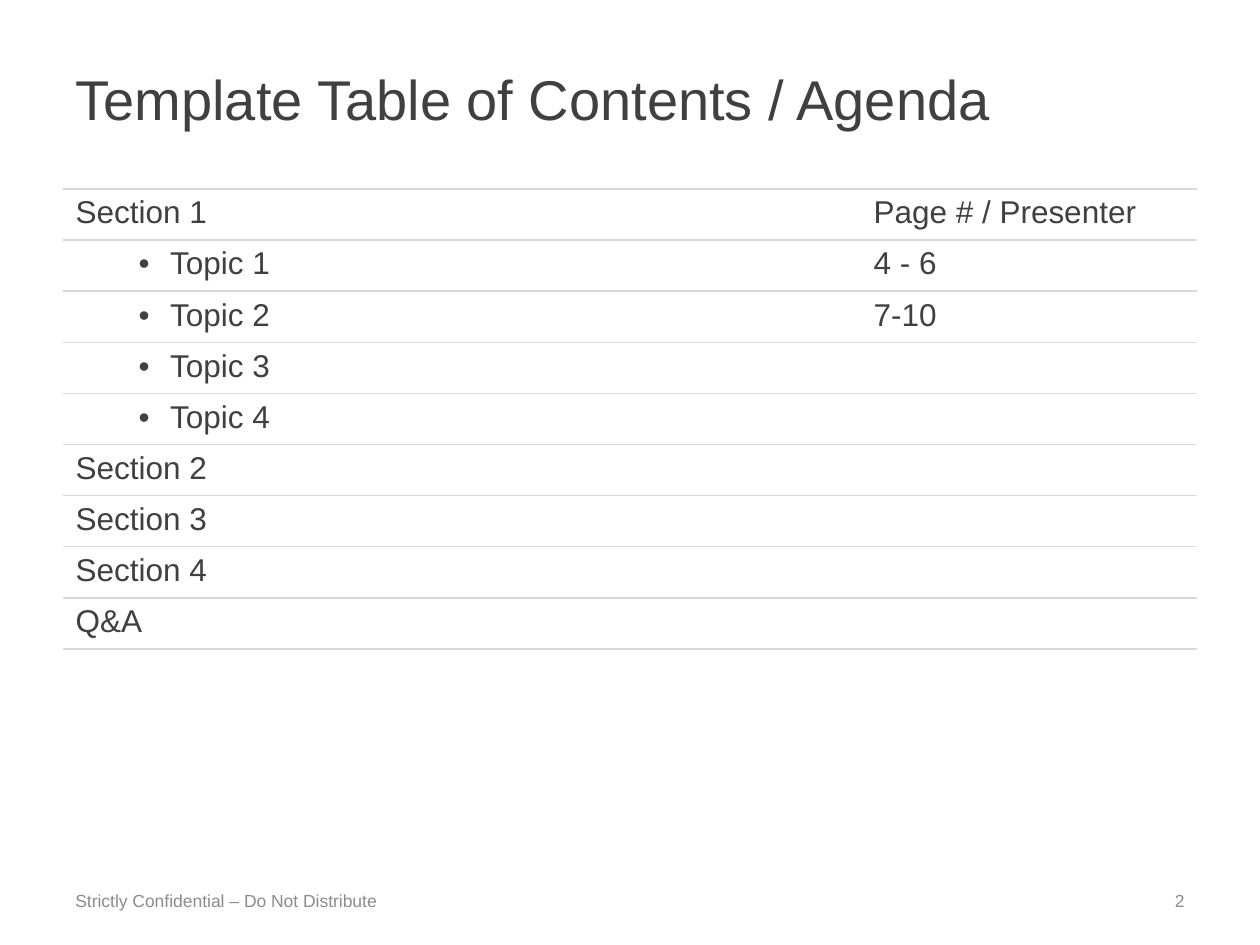
from lxml import etree
from pptx import Presentation
from pptx.dml.color import RGBColor
from pptx.enum.text import MSO_ANCHOR, MSO_AUTO_SIZE, PP_ALIGN
from pptx.oxml.ns import qn
from pptx.util import Pt

MIDDLE = MSO_ANCHOR.MIDDLE
FIXED = MSO_AUTO_SIZE.NONE
LEFT, RIGHT = PP_ALIGN.LEFT, PP_ALIGN.RIGHT
FONT = "Arial"
COLORS = {"text": "404040", "muted": "8C8C8C", "rule": "D9D9D9"}
TITLE = "Template Table of Contents / Agenda"
NOTICE = "Strictly Confidential – Do Not Distribute"
AGENDA = [
    ("Section 1", "Page # / Presenter", False),
    ("Topic 1", "4 - 6", True),
    ("Topic 2", "7-10", True),
    ("Topic 3", "", True),
    ("Topic 4", "", True),
    ("Section 2", "", False),
    ("Section 3", "", False),
    ("Section 4", "", False),
    ("Q&A", "", False),
]


def add_run(para, text, size, color):
    run = para.add_run()
    run.text = text
    run.font.name = FONT
    run.font.size = Pt(size)
    run.font.color.rgb = RGBColor.from_string(COLORS[color])


def fill_frame(frame, text, size, color, align):
    frame.word_wrap = True
    frame.auto_size = FIXED
    frame.vertical_anchor = MIDDLE
    para = frame.paragraphs[0]
    para.alignment = align
    add_run(para, text, size, color)


def add_title(slide, box):
    title = slide.shapes.title
    title.left, title.top, title.width, title.height = map(Pt, box)
    fill_frame(title.text_frame, TITLE, 32, "text", LEFT)


def add_bullet(para):
    para.level = 1
    props = para._p.get_or_add_pPr()
    props.set("marL", str(Pt(54)))
    props.set("indent", str(Pt(-18)))
    etree.SubElement(props, qn("a:buFont"), typeface=FONT)
    etree.SubElement(props, qn("a:buChar"), char="•")


def style_cell(cell):
    cell.fill.background()
    props = cell._tc.get_or_add_tcPr()
    for index, side in enumerate(("lnL", "lnR", "lnT", "lnB")):
        line = etree.Element(qn(f"a:{side}"), w=str(Pt(1)))
        props.insert(index, line)
        if side in ("lnT", "lnB"):
            fill = etree.SubElement(line, qn("a:solidFill"))
            etree.SubElement(fill, qn("a:srgbClr"), val=COLORS["rule"])
        else:
            etree.SubElement(line, qn("a:noFill"))


def add_agenda(slide, box):
    left, top, width, height = box
    frame = slide.shapes.add_table(len(AGENDA), 2, *map(Pt, box))
    table = frame.table
    table.first_row = table.horz_banding = False
    pages = 192
    table.columns[0].width = Pt(width - pages)
    table.columns[1].width = Pt(pages)
    for row, (topic, page, nested) in zip(table.rows, AGENDA):
        row.height = Pt(height / len(AGENDA))
        for cell, text in zip(row.cells, (topic, page)):
            style_cell(cell)
            if text:
                add_run(cell.text_frame.paragraphs[0], text, 18, "text")
        if nested:
            add_bullet(row.cells[0].text_frame.paragraphs[0])


def add_footer(slide, box):
    left, top, width, height = box
    number = 168
    parts = [
        (left, 396, NOTICE, LEFT),
        (left + width - number, number, "2", RIGHT),
    ]
    for start, span, text, align in parts:
        note = slide.shapes.add_textbox(Pt(start), Pt(top), Pt(span), Pt(height))
        fill_frame(note.text_frame, text, 10, "muted", align)


def main():
    deck = Presentation()
    deck.slide_width, deck.slide_height = Pt(720), Pt(540)
    slide = deck.slides.add_slide(deck.slide_layouts[5])
    margin, width = 36, 648
    add_title(slide, (margin, 21.6, width, 68.4))
    add_agenda(slide, (margin, 108, width, 263))
    add_footer(slide, (margin, 500.4, width, 28.8))
    deck.save("out.pptx")


if __name__ == "__main__":
    main()
